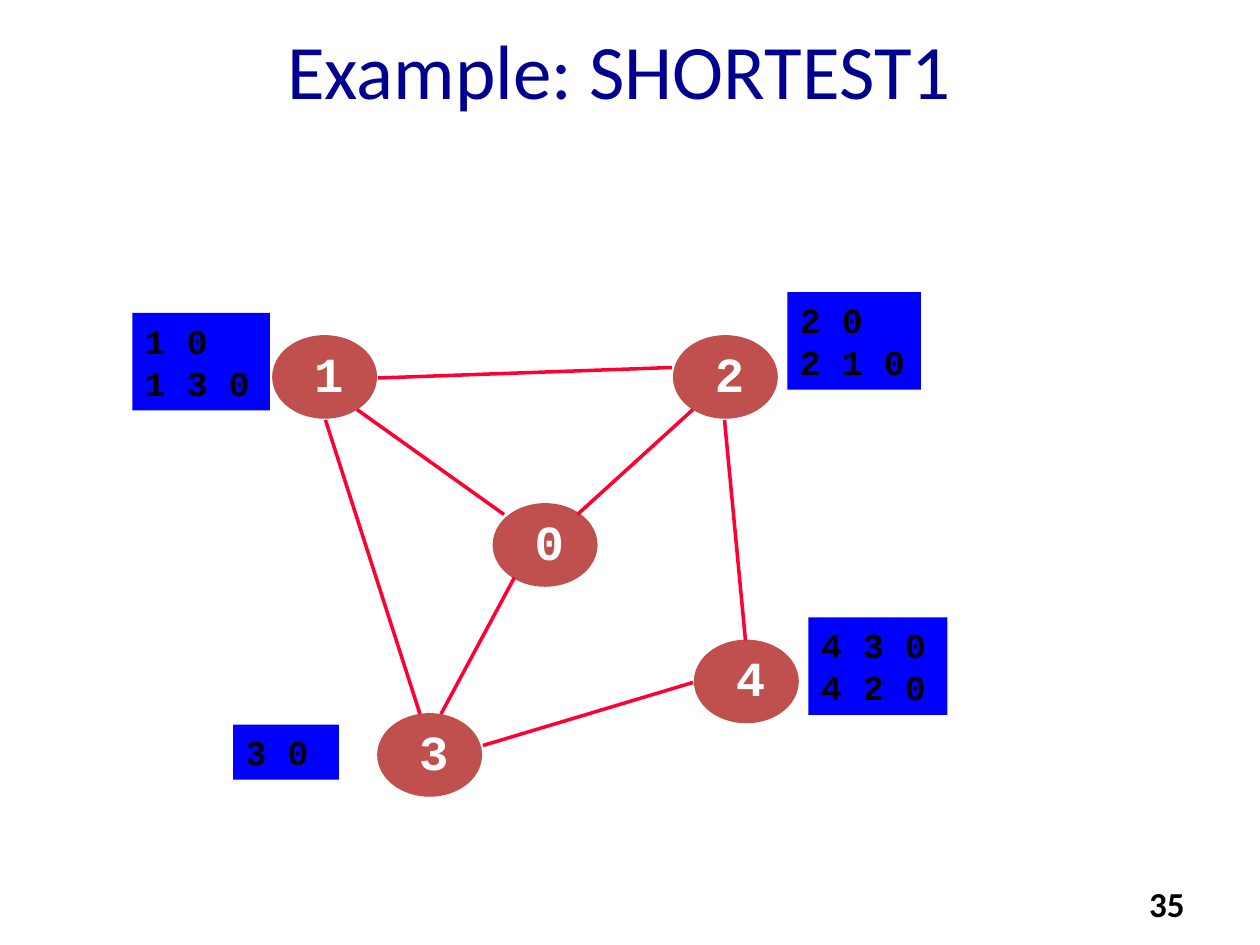
"""Build the SHORTEST1 example slide: a five-node graph with its path lists."""
from dataclasses import dataclass

from lxml.etree import SubElement
from pptx import Presentation
from pptx.dml.color import RGBColor
from pptx.enum.shapes import MSO_CONNECTOR as Connector, MSO_SHAPE as Shape
from pptx.enum.text import MSO_ANCHOR as Anchor, MSO_AUTO_SIZE as AutoSize, PP_ALIGN as Align
from pptx.oxml.ns import qn
from pptx.util import Pt

COLORS = {
    "title": "000090",
    "node": "C0504D",
    "edge": "FF0033",
    "paths": "0000FF",
    "light": "FFFFFF",
    "dark": "000000",
}
MONO = "Courier New"
NODE_WIDTH, NODE_HEIGHT = 59, 46.8
LABEL_SHIFT_X, LABEL_SHIFT_Y = 16.4, 0.7


@dataclass
class Node:
    name: str
    left: float
    top: float


@dataclass
class Edge:
    start: tuple[float, float]
    end: tuple[float, float]


@dataclass
class PathList:
    lines: list[str]
    left: float
    top: float
    width: float
    height: float


NODES = [
    Node("1", 156, 192),
    Node("2", 385, 192),
    Node("4", 397, 366),
    Node("3", 216, 408),
    Node("0", 282, 288),
]
EDGES = [
    Edge((204, 234), (288, 294)),
    Edge((216, 216), (384, 210)),
    Edge((330, 294), (396, 234)),
    Edge((426, 366), (414, 240)),
    Edge((240, 408), (186, 240)),
    Edge((396, 390), (276, 426)),
    Edge((252, 408), (294, 330)),
]
PATH_LISTS = [
    PathList(["2 0", "2 1 0"], 450, 167, 76.3, 55.7),
    PathList(["1 0", "1 3 0"], 75.6, 178.8, 78.7, 55.7),
    PathList(["4 3 0", "4 2 0"], 462, 352.8, 79.4, 55.7),
    PathList(["3 0"], 133.2, 414, 60.5, 31.5),
]


def color(name: str) -> RGBColor:
    """Return the named palette colour."""
    return RGBColor.from_string(COLORS[name])


def write(box, lines: list[str], *, size: float, ink: str, font="Calibri",
          bold=False, align=Align.LEFT, anchor=Anchor.TOP, wrap=True) -> None:
    """Fill a shape with formatted lines of text."""
    frame = box.text_frame
    frame.auto_size = AutoSize.NONE
    frame.word_wrap = wrap
    frame.vertical_anchor = anchor
    frame.text = "\n".join(lines)
    for para in frame.paragraphs:
        para.alignment = align
        if font == MONO:
            para.line_spacing = Pt(1.2 * size)
        for span in para.runs:
            span.font.name = font
            span.font.size = Pt(size)
            span.font.bold = bold
            span.font.color.rgb = color(ink)


def draw_node(page, node: Node) -> None:
    """Draw a grouped ellipse and its label."""
    group = page.shapes.add_group_shape()
    oval = group.shapes.add_shape(Shape.OVAL, Pt(node.left), Pt(node.top),
                                  Pt(NODE_WIDTH), Pt(NODE_HEIGHT))
    oval.shadow.inherit = False
    oval.fill.solid()
    oval.fill.fore_color.rgb = color("node")
    oval.line.color.rgb = color("node")
    oval.line.width = Pt(1)
    label = group.shapes.add_textbox(Pt(node.left + LABEL_SHIFT_X),
                                     Pt(node.top + LABEL_SHIFT_Y), Pt(30.2), Pt(41))
    write(label, [node.name], size=28, ink="light", font=MONO, bold=True, wrap=False)


def draw_edge(page, edge: Edge) -> None:
    """Draw a straight line between two points."""
    ends = [Pt(value) for value in (*edge.start, *edge.end)]
    line = page.shapes.add_connector(Connector.STRAIGHT, *ends)
    line.line.color.rgb = color("edge")
    line.line.width = Pt(2)
    SubElement(line._element.spPr, qn("a:effectLst"))


def draw_path_list(page, paths: PathList) -> None:
    """Draw a filled box listing the paths of one node."""
    box = page.shapes.add_shape(Shape.RECTANGLE, Pt(paths.left), Pt(paths.top),
                                Pt(paths.width), Pt(paths.height))
    box.shadow.inherit = False
    box.fill.solid()
    box.fill.fore_color.rgb = color("paths")
    box.line.fill.background()
    write(box, paths.lines, size=20, ink="dark", font=MONO, bold=True)


def main() -> None:
    """Build and save the deck."""
    deck = Presentation()
    deck.slide_width, deck.slide_height = Pt(720), Pt(540)
    page = deck.slides.add_slide(deck.slide_layouts[5])

    title = page.shapes.title
    title.left, title.top, title.width, title.height = Pt(12), Pt(24), Pt(684), Pt(30)
    write(title, ["Example: SHORTEST1"], size=44, ink="title",
          align=Align.CENTER, anchor=Anchor.MIDDLE)
    number = page.shapes.add_textbox(Pt(516), Pt(500.8), Pt(168), Pt(28.8))
    write(number, ["35"], size=20, ink="dark", bold=True, align=Align.RIGHT)

    for node in NODES:
        draw_node(page, node)
    for edge in EDGES:
        draw_edge(page, edge)
    for paths in PATH_LISTS:
        draw_path_list(page, paths)
    deck.save("out.pptx")


if __name__ == "__main__":
    main()
